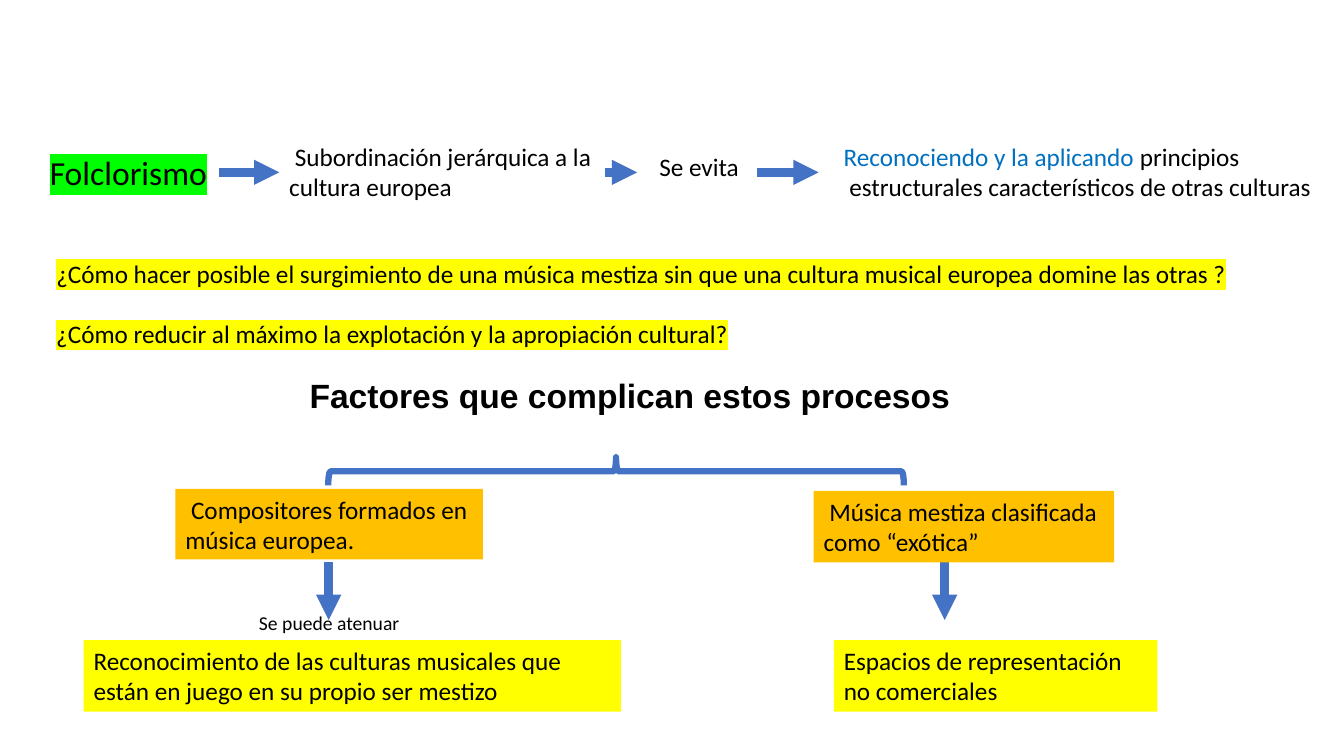
"""Build the slide on folklorism and the factors that complicate mestizo music."""
from dataclasses import dataclass

from lxml.etree import SubElement
from pptx import Presentation
from pptx.dml.color import RGBColor
from pptx.enum.shapes import MSO_CONNECTOR, MSO_SHAPE
from pptx.enum.text import MSO_ANCHOR, MSO_AUTO_SIZE, PP_ALIGN
from pptx.oxml import parse_xml
from pptx.oxml.ns import nsdecls, qn
from pptx.slide import Slide
from pptx.text.text import TextFrame
from pptx.util import Inches, Pt

BLACK = RGBColor(0x00, 0x00, 0x00)
BLUE = RGBColor(0x44, 0x72, 0xC4)
TEXT_BLUE = RGBColor(0x00, 0x70, 0xC0)
GREEN = RGBColor(0x00, 0xFF, 0x00)
YELLOW = RGBColor(0xFF, 0xFF, 0x00)
ORANGE = RGBColor(0xFF, 0xC0, 0x00)

FLOW_Y = 1.71
BRANCH_TOP, BRANCH_BOTTOM = 5.58, 6.15


@dataclass(frozen=True)
class Span:
    text: str
    color: RGBColor = BLACK
    highlight: RGBColor | None = None


@dataclass(frozen=True)
class Label:
    left: float
    top: float
    width: float
    height: float
    lines: tuple[tuple[Span, ...], ...]
    size: int = 18
    wrap: bool = True
    fill: RGBColor | None = None


@dataclass(frozen=True)
class Arrow:
    start: tuple[float, float]
    end: tuple[float, float]


def plain(*texts: str) -> tuple[tuple[Span, ...], ...]:
    """Return one black line for each text."""
    return tuple((Span(text),) for text in texts)


def marked(text: str) -> tuple[tuple[Span, ...], ...]:
    """Return a single line highlighted in yellow."""
    return ((Span(text, highlight=YELLOW),),)


LABELS = (
    Label(8.27, 1.35, 4.86, 0.71, (
        (Span("Reconociendo y la aplicando ", TEXT_BLUE), Span("principios")),
        (Span(" estructurales característicos de otras culturas"),))),
    Label(0.32, 1.46, 1.85, 0.5,
          ((Span(" "), Span("Folclorismo", highlight=GREEN)),), size=24, wrap=False),
    Label(2.77, 1.35, 3.23, 0.71,
          plain(" Subordinación jerárquica a la", "cultura europea"), wrap=False),
    Label(6.44, 1.45, 1.08, 0.4, plain("Se evita")),
    Label(0.46, 2.51, 11.89, 0.4,
          marked("¿Cómo hacer posible el surgimiento de una música mestiza sin que "
                 "una cultura musical europea domine las otras ?"), wrap=False),
    Label(0.46, 3.11, 7.06, 0.4,
          marked("¿Cómo reducir al máximo la explotación y la apropiación cultural?")),
    Label(1.74, 4.85, 3.05, 0.7,
          plain(" Compositores formados en", "música europea."), fill=ORANGE),
    Label(8.07, 4.87, 2.98, 0.71,
          plain(" Música mestiza clasificada como “exótica”"), fill=ORANGE),
    Label(0.83, 6.35, 5.33, 0.71,
          plain("Reconocimiento de las culturas musicales que están en juego "
                "en su propio ser mestizo"), fill=YELLOW),
    Label(8.27, 6.35, 3.21, 0.71,
          plain("Espacios de representación no comerciales"), fill=YELLOW),
    Label(2.47, 6.01, 2.72, 0.34, plain("Se puede atenuar"), size=14),
)

ARROWS = (
    *(Arrow((left, FLOW_Y), (right, FLOW_Y))
      for left, right in ((2.17, 2.77), (6, 6.32), (7.51, 8.12))),
    *(Arrow((x, BRANCH_TOP), (x, BRANCH_BOTTOM)) for x in (3.26, 9.37)),
)


def write_text(frame: TextFrame, lines: tuple[tuple[Span, ...], ...], *, size: int = 18,
               font: str = "Calibri", bold: bool = False, wrap: bool = True) -> None:
    """Fill a text frame with formatted, left-aligned lines."""
    frame.auto_size = MSO_AUTO_SIZE.NONE
    frame.word_wrap = wrap
    frame.vertical_anchor = MSO_ANCHOR.TOP
    for index, line in enumerate(lines):
        para = frame.paragraphs[0] if index == 0 else frame.add_paragraph()
        para.alignment = PP_ALIGN.LEFT
        for span in line:
            run = para.add_run()
            run.text = span.text
            run.font.size, run.font.name, run.font.bold = Pt(size), font, bold
            run.font.color.rgb = span.color
            if span.highlight is not None:
                highlight = parse_xml(
                    f'<a:highlight {nsdecls("a")}><a:srgbClr val="{span.highlight}"/></a:highlight>')
                run.font.fill._xPr.find(qn("a:solidFill")).addnext(highlight)


def add_title(page: Slide) -> None:
    """Place and format the heading."""
    title = page.shapes.title
    title.left, title.top = Inches(2.97), Inches(3.67)
    title.width, title.height = Inches(6.71), Inches(0.5)
    write_text(title.text_frame, plain("Factores que complican estos procesos"),
               size=24, font="Arial", bold=True, wrap=False)


def add_label(page: Slide, label: Label) -> None:
    """Add a text box, with a fill if it has one."""
    box = page.shapes.add_textbox(Inches(label.left), Inches(label.top),
                                  Inches(label.width), Inches(label.height))
    if label.fill is not None:
        box.fill.solid()
        box.fill.fore_color.rgb = label.fill
    write_text(box.text_frame, label.lines, size=label.size, wrap=label.wrap)


def add_arrow(page: Slide, arrow: Arrow) -> None:
    """Add a thick straight arrow."""
    connector = page.shapes.add_connector(
        MSO_CONNECTOR.STRAIGHT, *map(Inches, arrow.start), *map(Inches, arrow.end))
    connector.line.color.rgb = BLUE
    connector.line.width = Pt(6)
    SubElement(connector.line._get_or_add_ln(), qn("a:tailEnd"), type="triangle")
    SubElement(connector._element.spPr, qn("a:effectLst"))


def add_brace(page: Slide) -> None:
    """Add the brace that joins the heading to its two factors."""
    brace = page.shapes.add_shape(MSO_SHAPE.RIGHT_BRACE, Inches(5.97), Inches(1.82),
                                  Inches(0.28), Inches(5.71))
    brace.rotation = 270
    brace.shadow.inherit = False
    brace.fill.background()
    brace.line.color.rgb = BLUE
    brace.line.width = Pt(4.5)


def main() -> None:
    """Build and save the deck."""
    deck = Presentation()
    deck.slide_width, deck.slide_height = Inches(13.33), Inches(7.5)
    page = deck.slides.add_slide(deck.slide_layouts[5])
    add_title(page)
    add_brace(page)
    for arrow in ARROWS:
        add_arrow(page, arrow)
    for label in LABELS:
        add_label(page, label)
    deck.save("out.pptx")


if __name__ == "__main__":
    main()
